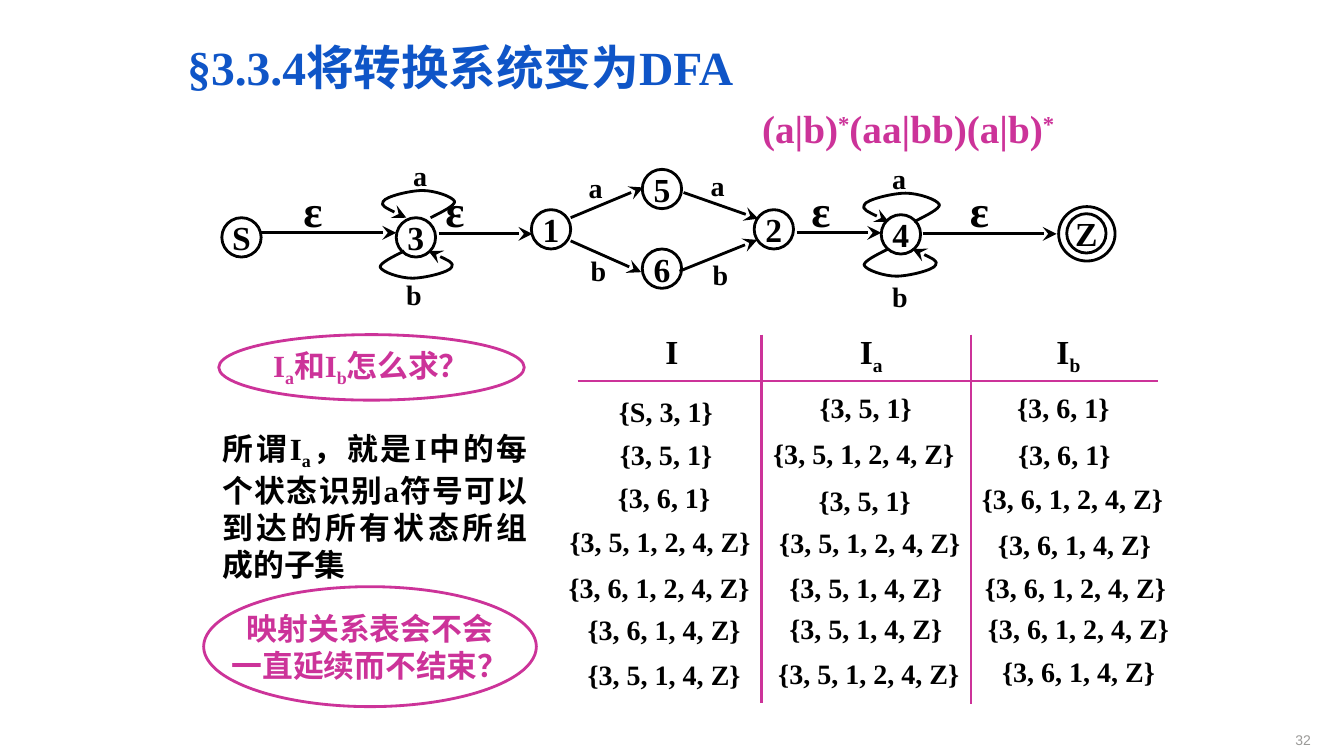
"""Build the slide that turns a transition system into a DFA."""
from dataclasses import dataclass, field

from lxml import etree
from pptx import Presentation, util as u
from pptx.dml.color import RGBColor
from pptx.enum import shapes, text
from pptx.oxml.ns import qn

INK, PINK, BLUE, GREY = "000000", "CC3399", "0F55C7", "9B9A98"
FIT = text.MSO_AUTO_SIZE.SHAPE_TO_FIT_TEXT
MID = text.MSO_ANCHOR.MIDDLE
ALIGN = text.PP_ALIGN
WIDTHS = {3: 1.12, 5: 1.73, 6: 2.01}
CURVE = [(-0.24, 0.06), (-0.36, 0.12), (-0.36, 0.16),
         (-0.34, 0.21), (-0.16, 0.27), (-0.04, 0.27),
         (0.08, 0.27), (0.33, 0.21), (0.35, 0.16),
         (0.38, 0.12), (0.25, 0.06), (0.12, 0)]


@dataclass
class Label:
    words: str
    x: float
    y: float
    w: float
    h: float
    size: float = 20
    color: str = INK
    font: str = "Times New Roman"
    bold: bool = True
    base: int = -25
    frame: dict = field(default_factory=lambda: {"word_wrap": True, "auto_size": FIT})
    para: dict = field(default_factory=dict)


@dataclass
class Oval(Label):
    frame: dict = field(default_factory=lambda: {
        "word_wrap": False, "vertical_anchor": MID})
    para: dict = field(default_factory=lambda: {"alignment": ALIGN.CENTER})


@dataclass
class Line:
    x1: float
    y1: float
    x2: float
    y2: float
    color: str = INK
    arrow: bool = True


@dataclass
class Loop:
    x: float
    y: float
    scale: float


LABELS = [
    Label("32", 11.89, 7.02, 1.11, 0.4, 10, GREY, "Arial", False,
          frame={"word_wrap": True, "vertical_anchor": text.MSO_ANCHOR.BOTTOM,
                 "margin_left": 0, "margin_right": 0, "margin_top": 0,
                 "margin_bottom": 0},
          para={"alignment": ALIGN.RIGHT}),
    Label("§3.3.4将转换系统变为DFA", 1.76, 0.21, 9.67, 0.86, 34, BLUE,
          frame={"word_wrap": True}, para={"line_spacing": 1.2}),
    Label("(a|b)~*~(aa|bb)(a|b)~*", 7.46, 0.99, 3.32, 0.57, 28, PINK, base=30),
    Label("所谓I~a~，就是I中的每个状态识别a符号可以到达的所有状态所组成的子集",
          2.11, 4.21, 3.22, 1.58, 22, para={"alignment": ALIGN.JUSTIFY}),
    Label("{S, 3, 1}", 6.04, 3.86, 1.33, 0.44),
]
HEADS = [("I", 6.5), ("I~a", 8.43), ("I~b", 10.38)]
CELLS = [
    ("3, 5, 1", 8.03, 3.82), ("3, 6, 1", 9.99, 3.82),
    ("3, 5, 1", 6.05, 4.29), ("3, 5, 1, 2, 4, Z", 7.57, 4.28), ("3, 6, 1", 10, 4.29),
    ("3, 6, 1", 6.03, 4.72), ("3, 5, 1", 8.02, 4.75), ("3, 6, 1, 2, 4, Z", 9.64, 4.73),
    ("3, 5, 1, 2, 4, Z", 5.55, 5.15), ("3, 5, 1, 2, 4, Z", 7.63, 5.16),
    ("3, 6, 1, 4, Z", 9.8, 5.18),
    ("3, 6, 1, 2, 4, Z", 5.54, 5.61), ("3, 5, 1, 4, Z", 7.73, 5.61),
    ("3, 6, 1, 2, 4, Z", 9.67, 5.61),
    ("3, 6, 1, 4, Z", 5.73, 6.03), ("3, 5, 1, 4, Z", 7.73, 6.02),
    ("3, 6, 1, 2, 4, Z", 9.7, 6.02),
    ("3, 5, 1, 4, Z", 5.73, 6.47), ("3, 5, 1, 2, 4, Z", 7.62, 6.46),
    ("3, 6, 1, 4, Z", 9.84, 6.44),
]
EDGES = [("a", 5.74, 1.64), ("b", 5.76, 2.47), ("a", 6.95, 1.62), ("b", 6.97, 2.51),
         ("a", 4, 1.52), ("b", 3.93, 2.7), ("a", 8.75, 1.55), ("b", 8.75, 2.72)]
NODES = [("S", 2.2, 2.16), ("3", 3.93, 2.16), ("1", 5.27, 2.08), ("5", 6.37, 1.68),
         ("6", 6.37, 2.47), ("2", 7.48, 2.08), ("4", 8.74, 2.13), ("Z", 10.58, 2.12)]
OVALS = [
    Oval("I~a~和I~b~怎么求？", 2.17, 3.32, 3.03, 0.65, 22, PINK),
    Oval("映射关系表会不会\n一直延续而不结束？", 2.02, 5.82, 3.3, 1.19, 22, PINK),
    Oval("", 10.5, 2.05, 0.56, 0.54),
]
LINES = [
    Line(5.73, 3.78, 11.49, 3.78, PINK, False),
    Line(7.55, 3.32, 7.55, 6.97, PINK, False),
    Line(9.63, 3.32, 9.63, 6.98, PINK, False),
    Line(2.59, 2.31, 3.93, 2.31), Line(4.35, 2.32, 5.28, 2.32),
    Line(7.9, 2.31, 8.74, 2.31), Line(9.15, 2.32, 10.48, 2.32),
    Line(5.66, 2.16, 6.38, 1.86), Line(6.78, 1.91, 7.52, 2.17),
    Line(5.66, 2.39, 6.36, 2.7), Line(6.74, 2.69, 7.51, 2.38),
]
LOOPS = [Loop(4.13, 2.49, 1), Loop(8.93, 2.47, 1),
         Loop(4.15, 2.16, -1), Loop(8.94, 2.2, -1.05)]


def paint(fill, color: str) -> None:
    fill.solid()
    fill.fore_color.rgb = RGBColor.from_string(color)


def stroke(line, color: str, arrow: bool = False) -> None:
    paint(line.fill, color)
    line.width = u.Pt(2)
    if arrow:
        etree.SubElement(line._get_or_add_ln(), qn("a:tailEnd"),
                         type="stealth", w="lg", len="lg")


def apply(target, form: dict) -> None:
    for key, value in form.items():
        setattr(target, key, value)


def write(shape, label: Label) -> None:
    frame = shape.text_frame
    apply(frame, label.frame)
    for row, words in enumerate(label.words.split("\n")):
        para = frame.add_paragraph() if row else frame.paragraphs[0]
        apply(para, label.para)
        for turn, part in enumerate(words.split("~")):
            run = para.add_run()
            run.text = part
            apply(run.font, {"name": label.font, "size": u.Pt(label.size),
                             "bold": label.bold})
            paint(run.font.fill, label.color)
            if turn % 2:
                run._r.get_or_add_rPr().set("baseline", str(label.base * 1000))


def draw_label(slide, label: Label) -> None:
    box = map(u.Inches, (label.x, label.y, label.w, label.h))
    write(slide.shapes.add_textbox(*box), label)


def draw_oval(slide, oval: Oval) -> None:
    box = map(u.Inches, (oval.x, oval.y, oval.w, oval.h))
    shape = slide.shapes.add_shape(shapes.MSO_SHAPE.OVAL, *box)
    shape.shadow.inherit = False
    shape.fill.background()
    stroke(shape.line, oval.color)
    if oval.words:
        write(shape, oval)


def draw_line(slide, line: Line) -> None:
    ends = map(u.Inches, (line.x1, line.y1, line.x2, line.y2))
    link = slide.shapes.add_connector(shapes.MSO_CONNECTOR.STRAIGHT, *ends)
    stroke(link.line, line.color, line.arrow)
    etree.SubElement(link._element.spPr, qn("a:effectLst"))


def draw_loop(slide, loop: Loop) -> None:
    dots = [(u.Inches(loop.x + dx * loop.scale), u.Inches(loop.y + dy * loop.scale))
            for dx, dy in [(-0.12, 0)] + CURVE]
    form = slide.shapes.build_freeform(*dots[0])
    form.add_line_segments(dots[1:], close=False)
    shape = form.convert_to_shape()
    steps = shape._element.xpath(".//a:lnTo")
    for first in range(0, len(steps), 3):
        bend = etree.Element(qn("a:cubicBezTo"))
        steps[first].addprevious(bend)
        for step in steps[first:first + 3]:
            bend.append(step[0])
            step.getparent().remove(step)
    shape.shadow.inherit = False
    shape.fill.background()
    stroke(shape.line, INK, True)


def main() -> None:
    deck = Presentation()
    deck.slide_width, deck.slide_height = u.Inches(13.33), u.Inches(7.5)
    slide = deck.slides.add_slide(deck.slide_layouts[6])
    for line in LINES:
        draw_line(slide, line)
    for loop in LOOPS:
        draw_loop(slide, loop)
    nodes = [Oval(name, x, y, 0.39, 0.39, 24) for name, x, y in NODES]
    for oval in OVALS + nodes:
        draw_oval(slide, oval)
    heads = [Label(name, x, 3.23, 0.62, 0.51, 24) for name, x in HEADS]
    cells = [Label("{" + items + "}", x, y, WIDTHS[len(items.split(","))], 0.44,
                   frame={"word_wrap": False, "auto_size": FIT})
             for items, x, y in CELLS]
    edges = [Label(name, x, y, 0.42, 0.43) for name, x, y in EDGES]
    moves = [Label("ε", x, 1.76, 0.71, 0.63, 32) for x in (2.91, 4.32, 7.95, 9.52)]
    for label in LABELS + heads + cells + edges + moves:
        draw_label(slide, label)
    deck.save("out.pptx")


if __name__ == "__main__":
    main()
